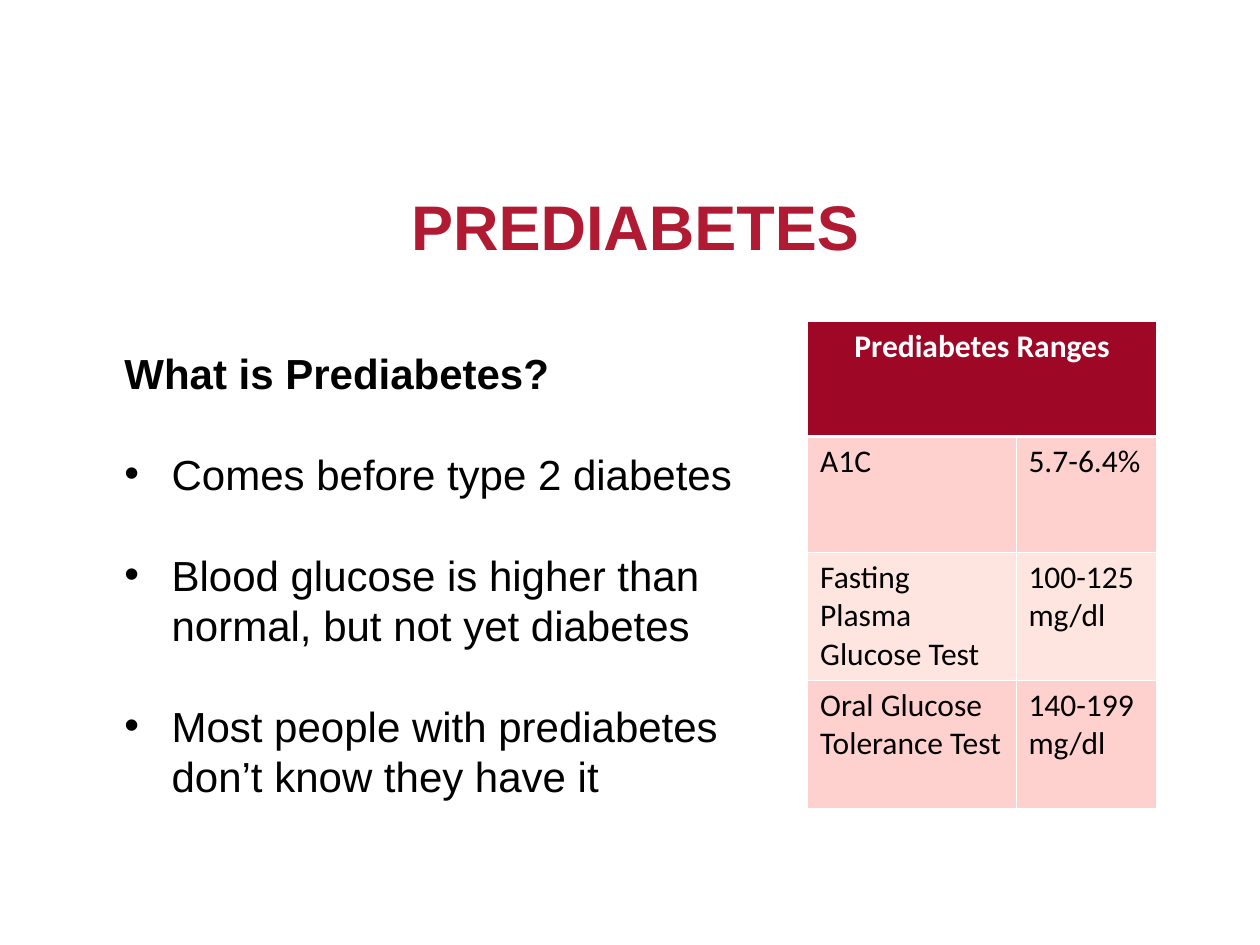
from pptx import Presentation
from pptx.dml.color import RGBColor as RGB
from pptx.enum.text import MSO_ANCHOR as ANCHOR, PP_ALIGN as ALIGN
from pptx.oxml import parse_xml
from pptx.oxml.ns import nsdecls
from pptx.util import Cm, Pt

COLORS = {
    "title": "B01B33", "text": "000000", "white": "FFFFFF",
    "header": "9E0726", "dark_row": "FFD1CE", "light_row": "FFE5DF",
}


def add_run(p, text, font, size, color, bold=False):
    r = p.add_run()
    r.text = text
    r.font.name, r.font.size, r.font.bold = font, Pt(size), bold
    r.font.color.rgb = RGB.from_string(COLORS[color])


def add_border(cell, index, side, width):
    cell._tc.get_or_add_tcPr().insert(index, parse_xml(
        f'<a:{side} {nsdecls("a")} w="{Pt(width)}"><a:solidFill>'
        f'<a:srgbClr val="{COLORS["white"]}"/></a:solidFill></a:{side}>'))


prs = Presentation()
prs.slide_width, prs.slide_height = Cm(25.4), Cm(19.05)
s = prs.slides.add_slide(prs.slide_layouts[6])

# Title
tf = s.shapes.add_textbox(Cm(2.11), Cm(4.19), Cm(21.39), Cm(1.27)).text_frame
tf.word_wrap = True
tf.vertical_anchor = ANCHOR.BOTTOM
p = tf.paragraphs[0]
p.alignment = ALIGN.CENTER
p.line_spacing = 0.9
add_run(p, "PREDIABETES", "Arial", 36, "title", True)

# Question and bullet points
tf = s.shapes.add_textbox(Cm(2.26), Cm(6.88), Cm(13.26), Cm(9.96)).text_frame
tf.word_wrap = True
p = tf.paragraphs[0]
p.line_spacing = Pt(28.8)
add_run(p, "What is Prediabetes?", "Arial", 24, "text", True)
for point in ("Comes before type 2 diabetes",
              "Blood glucose is higher than normal, but not yet diabetes",
              "Most people with prediabetes don’t know they have it"):
    p = tf.add_paragraph()
    p.line_spacing = p.space_before = Pt(28.8)
    pPr = p._p.get_or_add_pPr()
    pPr.set("marL", str(Cm(0.95)))
    pPr.set("indent", str(-Cm(0.95)))
    pPr.append(parse_xml(f'<a:buFont {nsdecls("a")} typeface="Arial"/>'))
    pPr.append(parse_xml(f'<a:buChar {nsdecls("a")} char="•"/>'))
    add_run(p, point, "Arial", 24, "text")

# Table of ranges
rows = [("Prediabetes Ranges",),
        ("A1C", "5.7-6.4%"),
        ("Fasting Plasma Glucose Test", "100-125 mg/dl"),
        ("Oral Glucose Tolerance Test", "140-199 mg/dl")]
fills = ["header", "dark_row", "light_row", "dark_row"]
heights = [2.33, 2.33, 2.58, 2.58]
table = s.shapes.add_table(4, 2, Cm(16.28), Cm(6.47), Cm(7.04), Cm(9.82)).table
for column, width in zip(table.columns, (4.2, 2.84)):
    column.width = Cm(width)
table.cell(0, 0).merge(table.cell(0, 1))

for i, (texts, fill, height) in enumerate(zip(rows, fills, heights)):
    table.rows[i].height = Cm(height)
    for cell in table.rows[i].cells:
        cell.fill.solid()
        cell.fill.fore_color.rgb = RGB.from_string(COLORS[fill])
        # The line under the header is thicker
        widths = {"lnL": 0.45, "lnR": 0.45,
                  "lnT": 1.47 if i == 1 else 0.45,
                  "lnB": 1.47 if i == 0 else 0.45}
        for index, (side, width) in enumerate(widths.items()):
            add_border(cell, index, side, width)
    for j, text in enumerate(texts):
        p = table.cell(i, j).text_frame.paragraphs[0]
        p.alignment = ALIGN.CENTER if i == 0 else ALIGN.LEFT
        add_run(p, text, "Calibri", 18, "white" if i == 0 else "text", i == 0)

prs.save("out.pptx")
